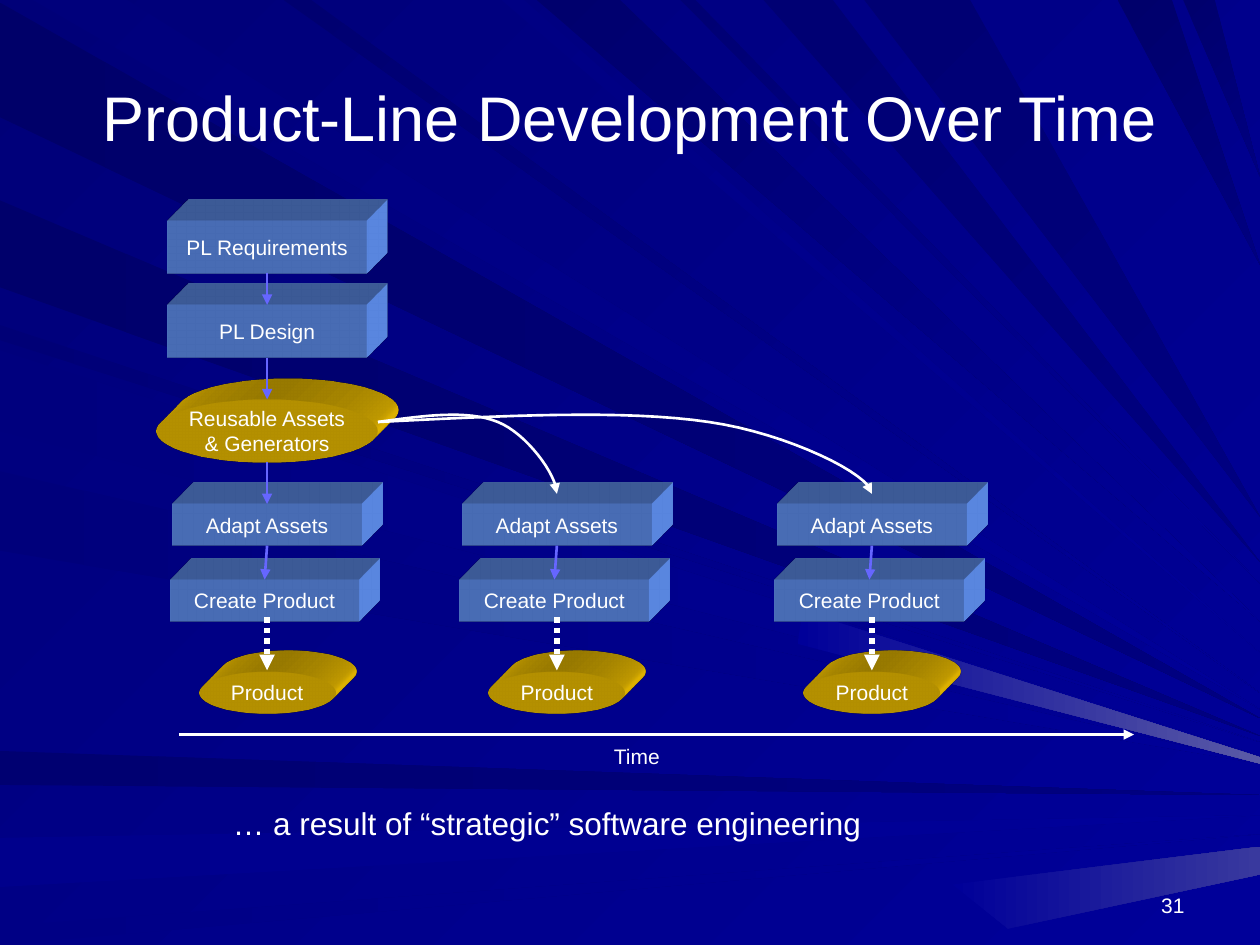
from lxml import etree
from pptx import Presentation
from pptx.dml.color import RGBColor
from pptx.enum.dml import MSO_LINE
from pptx.enum.shapes import MSO_CONNECTOR, MSO_SHAPE
from pptx.enum.text import MSO_ANCHOR, PP_ALIGN
from pptx.oxml import parse_xml
from pptx.oxml.ns import nsdecls, qn
from pptx.util import Cm, Pt

RECTANGLE, OVAL = MSO_SHAPE.RECTANGLE, MSO_SHAPE.OVAL
STRAIGHT = MSO_CONNECTOR.STRAIGHT
DOTTED = MSO_LINE.ROUND_DOT
LEFT, CENTER, RIGHT = PP_ALIGN.LEFT, PP_ALIGN.CENTER, PP_ALIGN.RIGHT
MIDDLE, BOTTOM, TOP = MSO_ANCHOR.MIDDLE, MSO_ANCHOR.BOTTOM, MSO_ANCHOR.TOP

FONT = "Arial"
WIDTH, HEIGHT = 10, 7.5
COLORS = {"text": "FFFFFF", "box": "6699FF", "oval": "FFCC00", "step": "6666FF",
          "back_start": "000078", "blue": "000099", "navy": "000080",
          "pale": "5A5AA6", "soft": "39399E"}

# Rays run from an edge to the right side: colours, edge from, edge to, tip height
LEFT_RAYS = [
    ("000069", "navy", .02, .93, 5.7),
    ("000071", "navy", 5.96, 6.23, 6.31),
    ("00008C", "blue", 6.65, 7.04, 6.47),
    ("000085", "blue", 7.35, 7.5, 6.62),
    ("000076", "blue", 2.58, 2.7, 5.89),
    ("00006B", "navy", 1.59, 2.28, 5.84),
    ("00007E", "blue", 2.78, 3.42, 6),
    ("00007B", "blue", 3.74, 4.37, 6.06),
]
TOP_RAYS = [
    ("00007B", "blue", .26, 1.01, 5.63),
    ("000083", "blue", 3.98, 4.16, 5.18),
    ("00006D", "blue", 4.26, 4.92, 4.93),
    ("000073", "blue", 5.4, 5.52, 4.63),
    ("000073", "navy", 6.06, 6.61, 4.46),
    ("00006B", "navy", 8.87, 9.3, 2.1),
    ("00006D", "navy", 9.39, 9.64, 1.4),
    ("000070", "blue", 2.25, 2.47, 5.5),
    ("000073", "navy", 6.86, 7.7, 4.1),
]
GLOWS = [
    ("blue", "soft", [(10, 6.94), (10, 6.72), (7.56, 7.02), (8, 7.37)]),
    ("blue", "pale", [(10, 6.01), (6.37, 4.85), (6.33, 5.11), (10, 6.06)]),
]

# Text, left, top, width, height, size, alignment, anchor, wrap
LABELS = [
    ("Product-Line Development Over Time", .5, .3, 9, 1.25, 36, CENTER, MIDDLE, True),
    ("31", 7.17, 6.83, 2.33, .5, 12, RIGHT, BOTTOM, True),
    ("… a result of “strategic” software engineering", 1.75, 6.33, 6.5, .4, 18, LEFT, TOP, True),
    ("Time", 4.77, 5.85, .57, .3, 12, CENTER, MIDDLE, False),
]

# Preset, colour, width, height
BIG_BOX = (RECTANGLE, "box", 1.58, .42)
SMALL_BOX = (RECTANGLE, "box", 1.5, .33)
ASSET_OVAL = (OVAL, "oval", 1.75, .5)
PRODUCT_OVAL = (OVAL, "oval", 1.08, .33)

# Text, centre offset, top, kind
SHARED_STEPS = [
    ("PL Requirements", 0, 1.75, BIG_BOX),
    ("PL Design", 0, 2.42, BIG_BOX),
    ("Reusable Assets\n& Generators", 0, 3.17, ASSET_OVAL),
]
PRODUCT_STEPS = [
    ("Adapt Assets", 0, 4, SMALL_BOX),
    ("Create Product", -.02, 4.6, SMALL_BOX),
]
PRODUCT = ("Product", 0, 5.33, PRODUCT_OVAL)
COLUMN_CENTERS = [2.12, 4.42, 6.92]

# Reuse curves start here; controls are share of the run and height
CURVE_LEFT = 3
CURVE_CONTROLS = [(0, 3.35), (.25, 3.3), (.5, 3.25), (.67, 3.35), (.83, 3.44), (1, 3.77), (1, 3.92)]
CURVE_STEPS = 16


def inches(*values):
    """Turn inch values into a list of lengths."""
    return [Cm(value * 2.54) for value in values]


def rgb(name):
    """Look up a named colour, or read a hex string."""
    return RGBColor.from_string(COLORS.get(name, name))


def set_gradient(fill, start, end, angle):
    """Fill with two colours at a clockwise angle."""
    fill.gradient()
    fill.gradient_angle = (360 - angle) % 360
    for stop, color in zip(fill.gradient_stops, (start, end)):
        stop.color.rgb = rgb(color)


def write_text(shape, text, size, alignment, anchor, wrap):
    """Put formatted text into a shape."""
    frame = shape.text_frame
    frame.text = text
    frame.word_wrap = wrap
    frame.vertical_anchor = anchor
    for paragraph in frame.paragraphs:
        paragraph.alignment = alignment
        for run in paragraph.runs:
            run.font.name, run.font.size = FONT, Pt(size)
            run.font.color.rgb = rgb("text")


def add_outline(shapes, points, close):
    """Add a freeform through points given in inches."""
    corners = [tuple(inches(*point)) for point in points]
    builder = shapes.build_freeform(*corners[0])
    builder.add_line_segments(corners[1:], close=close)
    shape = builder.convert_to_shape()
    shape.shadow.inherit = False
    return shape


def add_ray(shapes, start, end, angle, points):
    """Add one background ray with a gradient."""
    ray = add_outline(shapes, points, True)
    ray.line.fill.background()
    set_gradient(ray.fill, start, end, angle)


def style_arrow(shape, color, width):
    """Colour a line and put an arrowhead at its end."""
    shape.line.color.rgb = rgb(color)
    shape.line.width = Pt(width)
    etree.SubElement(shape.line._get_or_add_ln(), qn("a:tailEnd"), type="triangle")


def add_arrow(shapes, start, end, color, width, dash=None):
    """Add a straight arrow between two points."""
    arrow = shapes.add_connector(STRAIGHT, *inches(*start, *end))
    if dash:
        arrow.line.dash_style = dash
    style_arrow(arrow, color, width)
    etree.SubElement(arrow._element.spPr, qn("a:effectLst"))


def extrude(shape, color):
    """Give a shape depth towards the top right."""
    properties = shape._element.spPr
    properties.append(parse_xml(
        f'<a:scene3d {nsdecls("a")}><a:camera prst="legacyObliqueTopRight"/>'
        '<a:lightRig rig="legacyFlat3" dir="b"/></a:scene3d>'))
    properties.append(parse_xml(
        f'<a:sp3d {nsdecls("a")} extrusionH="430200" prstMaterial="legacyMatte">'
        f'<a:extrusionClr><a:srgbClr val="{COLORS[color]}"/></a:extrusionClr></a:sp3d>'))


def add_step(shapes, step, column):
    """Add one process step centred on a column."""
    text, offset, top, (preset, color, width, height) = step
    left = column + offset - width / 2
    shape = shapes.add_shape(preset, *inches(left, top, width, height))
    shape.shadow.inherit = False
    shape.fill.solid()
    shape.fill.fore_color.rgb = rgb(color)
    shape.line.fill.background()
    write_text(shape, text, 12, CENTER, MIDDLE, False)
    extrude(shape, color)


def curve_points(controls):
    """Sample a chain of cubic curves."""
    points = [controls[0]]
    for first in range(0, len(controls) - 1, 3):
        corners = controls[first:first + 4]
        for index in range(1, CURVE_STEPS + 1):
            t = index / CURVE_STEPS
            weights = ((1 - t) ** 3, 3 * t * (1 - t) ** 2, 3 * t * t * (1 - t), t ** 3)
            points.append([sum(w * value for w, value in zip(weights, values))
                           for values in zip(*corners)])
    return points


presentation = Presentation()
presentation.slide_width, presentation.slide_height = inches(WIDTH, HEIGHT)
slide = presentation.slides.add_slide(presentation.slide_layouts[6])
shapes = slide.shapes
set_gradient(slide.background.fill, "back_start", "blue", 45)

for start, end, upper, lower, tip in LEFT_RAYS:
    add_ray(shapes, start, end, 0, [(0, upper), (0, lower), (WIDTH, tip)])
for start, end, near, far, tip in TOP_RAYS:
    add_ray(shapes, start, end, 45, [(near, 0), (far, 0), (WIDTH, tip)])
for start, end, corners in GLOWS:
    add_ray(shapes, start, end, 0, corners)

for text, left, top, width, height, *style in LABELS:
    write_text(shapes.add_textbox(*inches(left, top, width, height)), text, *style)

for number, column in enumerate(COLUMN_CENTERS):
    chain = PRODUCT_STEPS if number else SHARED_STEPS + PRODUCT_STEPS
    for step in chain + [PRODUCT]:
        add_step(shapes, step, column)
    for (_, offset, top, kind), (_, next_offset, next_top, _) in zip(chain, chain[1:]):
        add_arrow(shapes, (column + offset, top + kind[-1]),
                  (column + next_offset, next_top), "step", 1.5)
    add_arrow(shapes, (column, 4.9), (column, 5.32), "text", 3, DOTTED)

add_arrow(shapes, (1.42, 5.83), (9, 5.83), "text", 1.5)
for column in COLUMN_CENTERS[1:]:
    controls = [(CURVE_LEFT + share * (column - CURVE_LEFT), y) for share, y in CURVE_CONTROLS]
    curve = add_outline(shapes, curve_points(controls), False)
    curve.fill.background()
    style_arrow(curve, "text", 1.5)

presentation.save("out.pptx")
